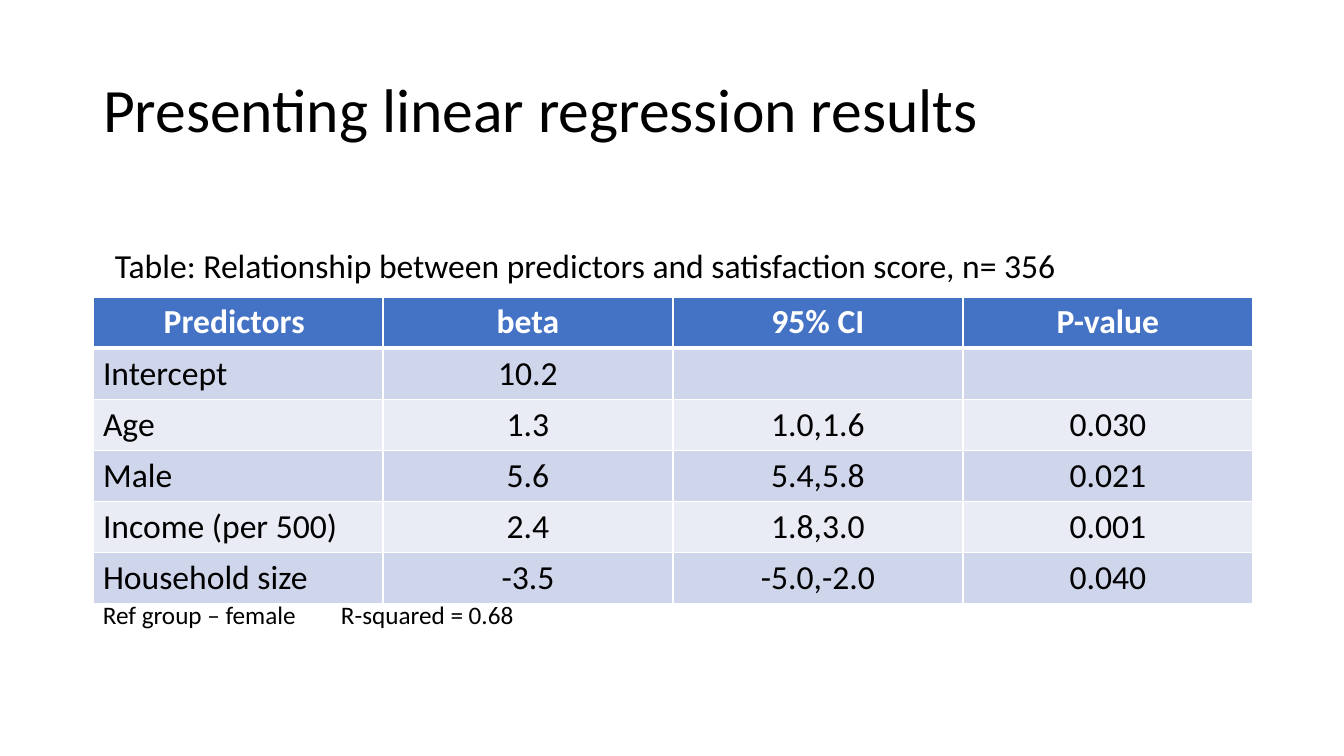
"""Build a slide that presents linear regression results in a table."""
from dataclasses import dataclass

from lxml.etree import SubElement
from pptx import Presentation
from pptx.dml.color import RGBColor
from pptx.enum.text import MSO_ANCHOR, MSO_AUTO_SIZE, PP_ALIGN
from pptx.oxml import parse_xml
from pptx.oxml.ns import nsdecls, qn
from pptx.util import Pt

TITLE = "Presenting linear regression results"
CAPTION = "Table: Relationship between predictors and satisfaction score, n= 356"
FOOTNOTE = "Ref group – female\tR-squared = 0.68"
RESULTS = [
    ("Predictors ", "beta", "95% CI", "P-value"),
    ("Intercept", "10.2", "", ""),
    ("Age", "1.3", "1.0,1.6", "0.030"),
    ("Male", "5.6", "5.4,5.8", "0.021"),
    ("Income (per 500)", "2.4", "1.8,3.0", "0.001"),
    ("Household size", "-3.5", "-5.0,-2.0", "0.040"),
]

SLIDE_SIZE = (1344, 756)
TITLE_BOX = (93, 40, 1159, 146)
CAPTION_BOX = (105, 240, 978, 50)
TABLE_ORIGIN = (93, 297)
COLUMN_WIDTH, ROW_HEIGHT = 290, 51
FOOTNOTE_BOX = (93, 594, 580, 40)
FOOTNOTE_TAB = 238


@dataclass(frozen=True)
class Theme:
    """Colours, font and type sizes of the slide."""
    font: str = "Calibri"
    ink: str = "000000"
    paper: str = "FFFFFF"
    header: str = "4472C4"
    bands: tuple = ("E9EBF5", "CFD5EA")
    title: int = 44
    body: int = 24
    note: int = 18
    rule: int = 1
    header_rule: int = 3


THEME = Theme()


def px(length):
    """Turn slide pixels into EMU."""
    return round(length * 12192000 / SLIDE_SIZE[0])


def write(frame, text, *, size=THEME.body, color=THEME.ink, bold=False,
          align=PP_ALIGN.LEFT, anchor=MSO_ANCHOR.TOP, wrap=True, spacing=None):
    """Put one formatted paragraph into a text frame and return it."""
    frame.auto_size = MSO_AUTO_SIZE.NONE
    frame.word_wrap = wrap
    frame.vertical_anchor = anchor
    paragraph = frame.paragraphs[0]
    paragraph.alignment = align
    paragraph.line_spacing = spacing
    run = paragraph.add_run()
    run.text = text
    run.font.name = THEME.font
    run.font.size = Pt(size)
    run.font.bold = bold
    run.font.color.rgb = RGBColor.from_string(color)
    return paragraph


def add_label(slide, box, text, **style):
    """Add a text box and return its paragraph."""
    label = slide.shapes.add_textbox(*map(px, box))
    return write(label.text_frame, text, **style)


def add_borders(cell, top, bottom):
    """Draw the four borders of a cell, ahead of its fill."""
    widths = {"lnL": THEME.rule, "lnR": THEME.rule, "lnT": top, "lnB": bottom}
    for position, (side, width) in enumerate(widths.items()):
        border = parse_xml(
            f'<a:{side} {nsdecls("a")} w="{Pt(width)}"><a:solidFill>'
            f'<a:srgbClr val="{THEME.paper}"/></a:solidFill></a:{side}>')
        cell._tc.get_or_add_tcPr().insert(position, border)


def add_results(slide):
    """Add the table of regression results."""
    row_count, column_count = len(RESULTS), len(RESULTS[0])
    size = (COLUMN_WIDTH * column_count, ROW_HEIGHT * row_count)
    table = slide.shapes.add_table(
        row_count, column_count, *map(px, TABLE_ORIGIN + size)).table
    for column in table.columns:
        column.width = px(COLUMN_WIDTH)
    for r, result in enumerate(RESULTS):
        table.rows[r].height = px(ROW_HEIGHT)
        is_header = r == 0
        for c, value in enumerate(result):
            cell = table.cell(r, c)
            cell.fill.solid()
            cell.fill.fore_color.rgb = RGBColor.from_string(
                THEME.header if is_header else THEME.bands[r % 2])
            add_borders(cell,
                        top=THEME.header_rule if r == 1 else THEME.rule,
                        bottom=THEME.header_rule if is_header else THEME.rule)
            if value:
                write(cell.text_frame, value, bold=is_header,
                      color=THEME.paper if is_header else THEME.ink,
                      align=PP_ALIGN.CENTER if is_header or c else PP_ALIGN.LEFT)


def main():
    """Build and save the slide."""
    deck = Presentation()
    deck.slide_width, deck.slide_height = map(px, SLIDE_SIZE)
    slide = deck.slides.add_slide(deck.slide_layouts[5])

    title = slide.shapes.title
    title.left, title.top, title.width, title.height = map(px, TITLE_BOX)
    write(title.text_frame, TITLE, size=THEME.title,
          anchor=MSO_ANCHOR.MIDDLE, spacing=0.9)

    add_results(slide)
    footnote = add_label(slide, FOOTNOTE_BOX, FOOTNOTE, size=THEME.note)
    tabs = SubElement(footnote._p.get_or_add_pPr(), qn("a:tabLst"))
    SubElement(tabs, qn("a:tab"), pos=str(px(FOOTNOTE_TAB)), algn="l")
    add_label(slide, CAPTION_BOX, CAPTION, wrap=False)

    deck.save("out.pptx")


if __name__ == "__main__":
    main()
